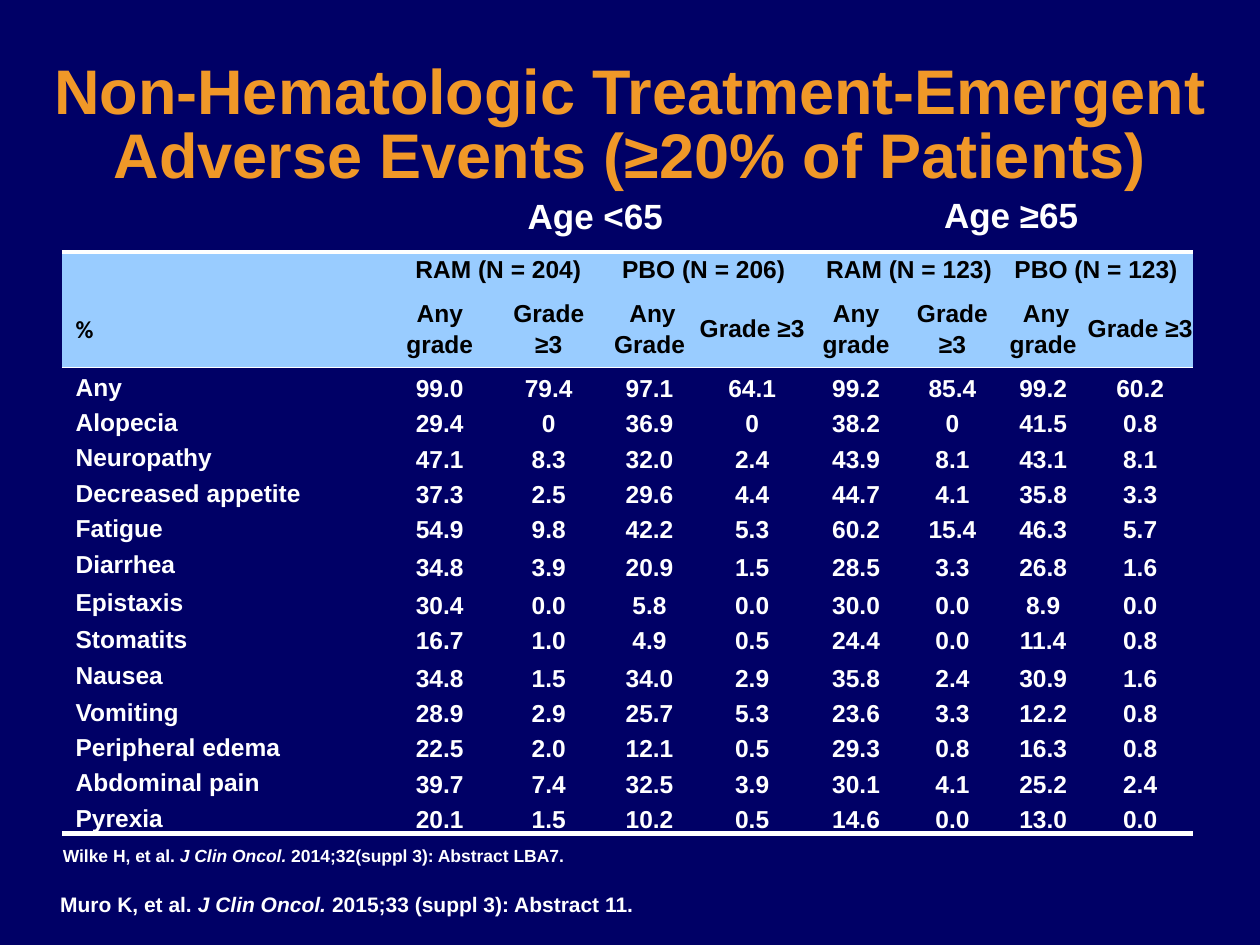
from lxml.etree import SubElement
from pptx import Presentation
from pptx.dml.color import RGBColor
from pptx.enum.text import MSO_ANCHOR as ANCHOR, MSO_AUTO_SIZE as AUTO, PP_ALIGN as ALIGN
from pptx.oxml.ns import qn
from pptx.util import Inches, Pt

NAVY = RGBColor(0x00, 0x00, 0x66)
ORANGE = RGBColor(0xF0, 0x98, 0x28)
SKY = RGBColor(0x99, 0xCC, 0xFF)
WHITE = RGBColor(0xFF, 0xFF, 0xFF)
BLACK = RGBColor(0x00, 0x00, 0x00)

WIDTH, HEIGHT = Inches(10), Inches(7.5)
COLUMNS = [2.55, 0.9, 0.83, 0.77, 0.86, 0.79, 0.74, 0.7, 0.84]
HEADER_ROWS = [0.28, 0.59]
ROW, TALL_ROW = 0.28, 0.3
TALL_EVENTS = {"Diarrhea", "Epistaxis", "Nausea"}
NO_STYLE = "{2D5ABB26-0587-4C30-8999-92F81FD0307C}"
SIDES = ("margin_left", "margin_top", "margin_right", "margin_bottom")

ARMS = ["RAM (N = 204)", "PBO (N = 206)", "RAM (N = 123)", "PBO (N = 123)"]
GRADES = ["%", "Any grade", "Grade ≥3", " Any Grade", "Grade ≥3",
          "Any grade", "Grade ≥3", " Any grade", "Grade ≥3"]
EVENTS = [
    ("Any", "99.0 79.4 97.1 64.1 99.2 85.4 99.2 60.2"),
    ("Alopecia", "29.4 0 36.9 0 38.2 0 41.5 0.8"),
    ("Neuropathy", "47.1 8.3 32.0 2.4 43.9 8.1 43.1 8.1"),
    ("Decreased appetite", "37.3 2.5 29.6 4.4 44.7 4.1 35.8 3.3"),
    ("Fatigue", "54.9 9.8 42.2 5.3 60.2 15.4 46.3 5.7"),
    ("Diarrhea", "34.8 3.9 20.9 1.5 28.5 3.3 26.8 1.6"),
    ("Epistaxis", "30.4 0.0 5.8 0.0 30.0 0.0 8.9 0.0"),
    ("Stomatits", "16.7 1.0 4.9 0.5 24.4 0.0 11.4 0.8"),
    ("Nausea", "34.8 1.5 34.0 2.9 35.8 2.4 30.9 1.6"),
    ("Vomiting", "28.9 2.9 25.7 5.3 23.6 3.3 12.2 0.8"),
    ("Peripheral edema", "22.5 2.0 12.1 0.5 29.3 0.8 16.3 0.8"),
    ("Abdominal pain", "39.7 7.4 32.5 3.9 30.1 4.1 25.2 2.4"),
    ("Pyrexia", "20.1 1.5 10.2 0.5 14.6 0.0 13.0 0.0"),
]


def apply(obj, **values):
    for name, value in values.items():
        setattr(obj, name, value)


def add_run(p, text, size, color, font="Arial", italic=False):
    r = p.add_run()
    r.text = text
    apply(r.font, name=font, size=Pt(size), bold=True, italic=italic)
    r.font.color.rgb = color


def add_text(slide, percents, runs, size, color=WHITE, align=ALIGN.LEFT, spacing=0.95):
    box = [int(n * side / 100) for n, side in zip(percents, (WIDTH, HEIGHT) * 2)]
    tf = slide.shapes.add_textbox(*box).text_frame
    apply(tf, word_wrap=True, auto_size=AUTO.SHAPE_TO_FIT_TEXT)
    p = tf.paragraphs[0]
    apply(p, alignment=align, line_spacing=spacing)
    for text, italic in runs:
        add_run(p, text, size, color, italic=italic)


def add_citation(slide, percents, authors, reference, size):
    add_text(slide, percents, [(authors, False), ("J Clin Oncol. ", True), (reference, False)], size)


def set_margins(cell, margins):
    apply(cell, **{side: Inches(m) for side, m in zip(SIDES, margins)})


def fill_cell(cell, text, color, margins, anchor=ANCHOR.MIDDLE, font="Arial", **paragraph):
    set_margins(cell, margins)
    cell.vertical_anchor = anchor
    p = cell.text_frame.paragraphs[0]
    apply(p, **{"alignment": ALIGN.CENTER, "line_spacing": 1.15, **paragraph})
    add_run(p, text, 14, color, font)


def shrink_empty(cell):
    set_margins(cell, (0, 0, 0, 0))
    SubElement(cell.text_frame.paragraphs[0]._p, qn("a:endParaRPr"), sz="1400")


def add_border(cell, side, points):
    tc_pr = cell._tc.get_or_add_tcPr()
    line = SubElement(tc_pr, qn(f"a:{side}"), w=str(Pt(points)))
    SubElement(SubElement(line, qn("a:solidFill")), qn("a:srgbClr"), val=str(WHITE))
    tc_pr.insert(0, line)


def fill_header(table):
    for col in range(0, len(COLUMNS), 2):
        shrink_empty(table.cell(0, col))
    for i, arm in enumerate(ARMS):
        cell = table.cell(0, 2 * i + 1)
        cell.merge(table.cell(0, 2 * i + 2))
        left = 0 if i % 2 else 0.1
        fill_cell(cell, arm, BLACK, (left, 0, 0, 0), line_spacing=1.0, space_after=Pt(3.5))
    for col, grade in enumerate(GRADES):
        cell = table.cell(1, col)
        if col == 0:
            fill_cell(cell, grade, BLACK, (0.11, 0.01, 0.01, 0), font="Calibri", alignment=ALIGN.LEFT)
        else:
            roomy = grade == "Any grade"
            fill_cell(cell, grade, BLACK, (0.1, 0.05, 0.1, 0.05) if roomy else (0, 0, 0, 0))


def fill_events(table):
    for row, (event, values) in enumerate(EVENTS, len(HEADER_ROWS)):
        fill_cell(table.cell(row, 0), event, WHITE, (0.11, 0.01, 0.01, 0), alignment=ALIGN.LEFT)
        for col, value in enumerate(values.split(), 1):
            fill_cell(table.cell(row, col), value, WHITE, (0.01, 0.01, 0.01, 0), ANCHOR.BOTTOM)


def add_event_table(slide):
    heights = HEADER_ROWS + [TALL_ROW if e in TALL_EVENTS else ROW for e, _ in EVENTS]
    table = slide.shapes.add_table(len(heights), len(COLUMNS), Inches(0.49), Inches(2),
                                   Inches(sum(COLUMNS)), Inches(sum(heights))).table
    apply(table, first_row=False, horz_banding=False)
    table._tbl.tblPr.find(qn("a:tableStyleId")).text = NO_STYLE
    for column, width in zip(table.columns, COLUMNS):
        column.width = Inches(width)
    for row, height in zip(table.rows, heights):
        row.height = Inches(height)
    fill_header(table)
    fill_events(table)
    borders = {0: ("lnT", 3), 1: ("lnB", 1), len(heights) - 1: ("lnB", 3)}
    for i, row in enumerate(table.rows):
        for cell in row.cells:
            if i < len(HEADER_ROWS):
                cell.fill.solid()
                cell.fill.fore_color.rgb = SKY
            else:
                cell.fill.background()
            if i in borders:
                add_border(cell, *borders[i])


def main():
    prs = Presentation()
    apply(prs, slide_width=WIDTH, slide_height=HEIGHT)
    slide = prs.slides.add_slide(prs.slide_layouts[6])
    slide.background.fill.solid()
    slide.background.fill.fore_color.rgb = NAVY
    title = "Non-Hematologic Treatment-Emergent Adverse Events (≥20% of Patients)"
    add_text(slide, (0, 6, 100, 15.1), [(title, False)], 36, ORANGE, ALIGN.CENTER, 0.85)
    add_citation(slide, (4, 88.9, 67.9, 3.5), "Wilke H, et al. ",
                 "2014;32(suppl 3): Abstract LBA7.", 10)
    add_event_table(slide)
    for x, y, label in ((33.9, 20.3, "Age <65"), (66.9, 20.1, "Age ≥65")):
        add_text(slide, (x, y, 26.7, 5.6), [(label, False)], 20, align=ALIGN.CENTER)
    add_citation(slide, (3.8, 93.9, 66.3, 3.9), "Muro K, et al. ",
                 "2015;33 (suppl 3): Abstract 11.", 12)
    prs.save("out.pptx")


if __name__ == "__main__":
    main()
